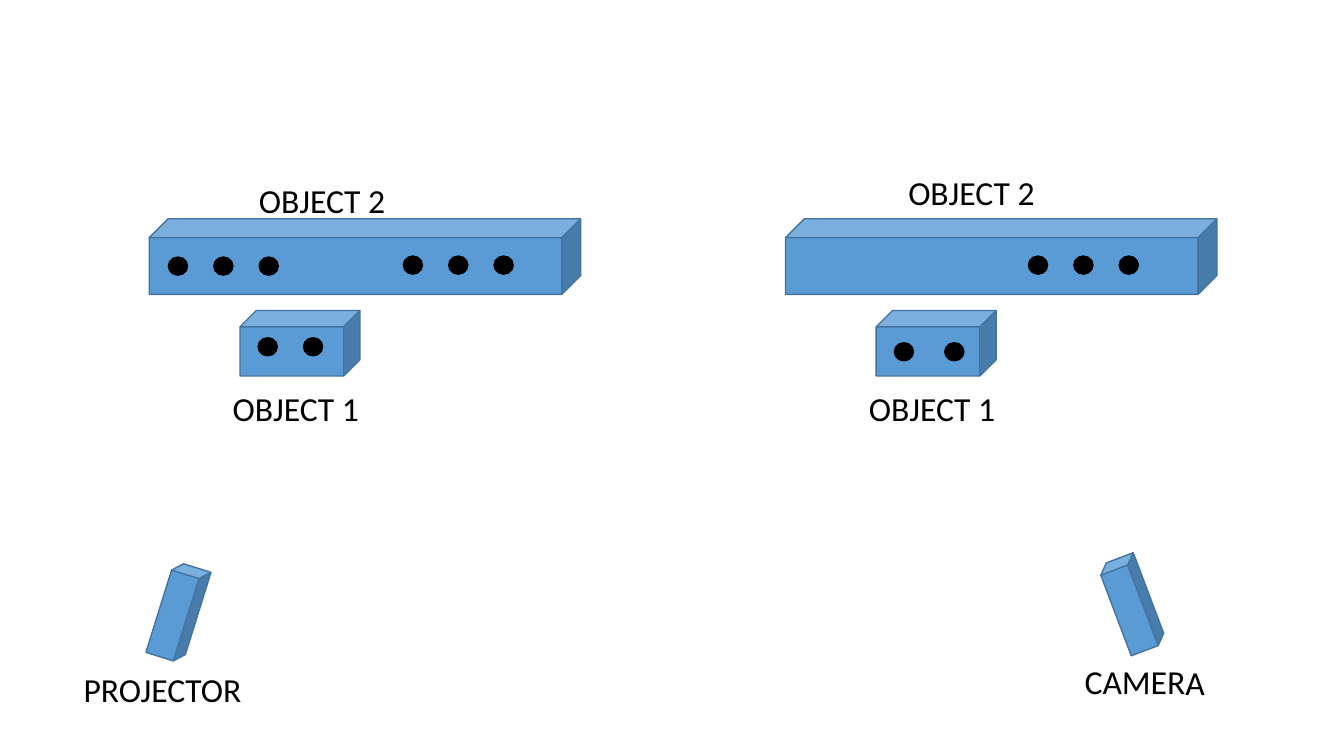
from pptx import Presentation
from pptx.dml.color import RGBColor
from pptx.enum.shapes import MSO_SHAPE
from pptx.util import Inches, Pt


def rgb(hex_color):
    return RGBColor.from_string(hex_color)


class SceneSlide:
    FONT = "Calibri"
    TEXT_SIZE = 24
    BLACK = "000000"
    CUBE_FILL = "5B9BD5"
    CUBE_LINE = "43739E"
    DOT_WIDTH, DOT_HEIGHT = 0.19, 0.18
    DOT_PITCH = 0.45

    def __init__(self, slide):
        self.slide = slide

    def _solid(self, preset, left, top, width, height, fill, line):
        solid = self.slide.shapes.add_shape(
            preset, Inches(left), Inches(top), Inches(width), Inches(height))
        solid.shadow.inherit = False
        solid.fill.solid()
        solid.fill.fore_color.rgb = rgb(fill)
        solid.line.color.rgb = rgb(line)
        solid.line.width = Pt(1)
        return solid

    def cube(self, left, top, width, height, rotation=0):
        block = self._solid(MSO_SHAPE.CUBE, left, top, width, height,
                            self.CUBE_FILL, self.CUBE_LINE)
        block.rotation = rotation

    def dots(self, left, top, count, pitch=DOT_PITCH):
        """Draw a row of evenly spaced light dots."""
        for index in range(count):
            self._solid(MSO_SHAPE.OVAL, left + index * pitch, top,
                        self.DOT_WIDTH, self.DOT_HEIGHT, self.BLACK, self.BLACK)

    def label(self, text, left, top, width, rotation=0):
        caption = self.slide.shapes.add_textbox(
            Inches(left), Inches(top), Inches(width), Inches(0.5))
        caption.rotation = rotation
        frame = caption.text_frame
        frame.word_wrap = False
        frame.text = text
        font = frame.paragraphs[0].runs[0].font
        font.name = self.FONT
        font.size = Pt(self.TEXT_SIZE)
        font.color.rgb = rgb(self.BLACK)


def main():
    deck = Presentation()
    deck.slide_width = Inches(13.33)
    deck.slide_height = Inches(7.5)
    blank_layout = deck.slide_layouts[6]
    scene = SceneSlide(deck.slides.add_slide(blank_layout))

    # The two objects, as seen by the projector and by the camera
    for view_left in (1.48, 7.79):
        scene.cube(view_left, 2.17, 4.28, 0.75)
        scene.cube(view_left + 0.9, 3.08, 1.19, 0.65)
        scene.label("OBJECT 1", view_left + 0.73, 3.8, 1.52)
    scene.label("OBJECT 2", 2.47, 1.74, 1.52)
    scene.label("OBJECT 2", 8.91, 1.66, 1.52)

    # Projected dots
    scene.dots(1.67, 2.55, 3)
    scene.dots(4, 2.54, 3)
    scene.dots(2.56, 3.35, 2)

    # Dots visible to the camera
    scene.dots(10.2, 2.54, 3)
    scene.dots(8.87, 3.4, 2, pitch=0.5)

    # Devices
    scene.cube(1.58, 5.6, 0.38, 0.95, rotation=17.3)
    scene.label("PROJECTOR", 0.73, 6.59, 1.82)
    scene.cube(11.04, 5.52, 0.38, 0.95, rotation=339.3)
    scene.label("CAMERA", 10.66, 6.51, 1.42, rotation=0.4)

    deck.save("out.pptx")


if __name__ == "__main__":
    main()
